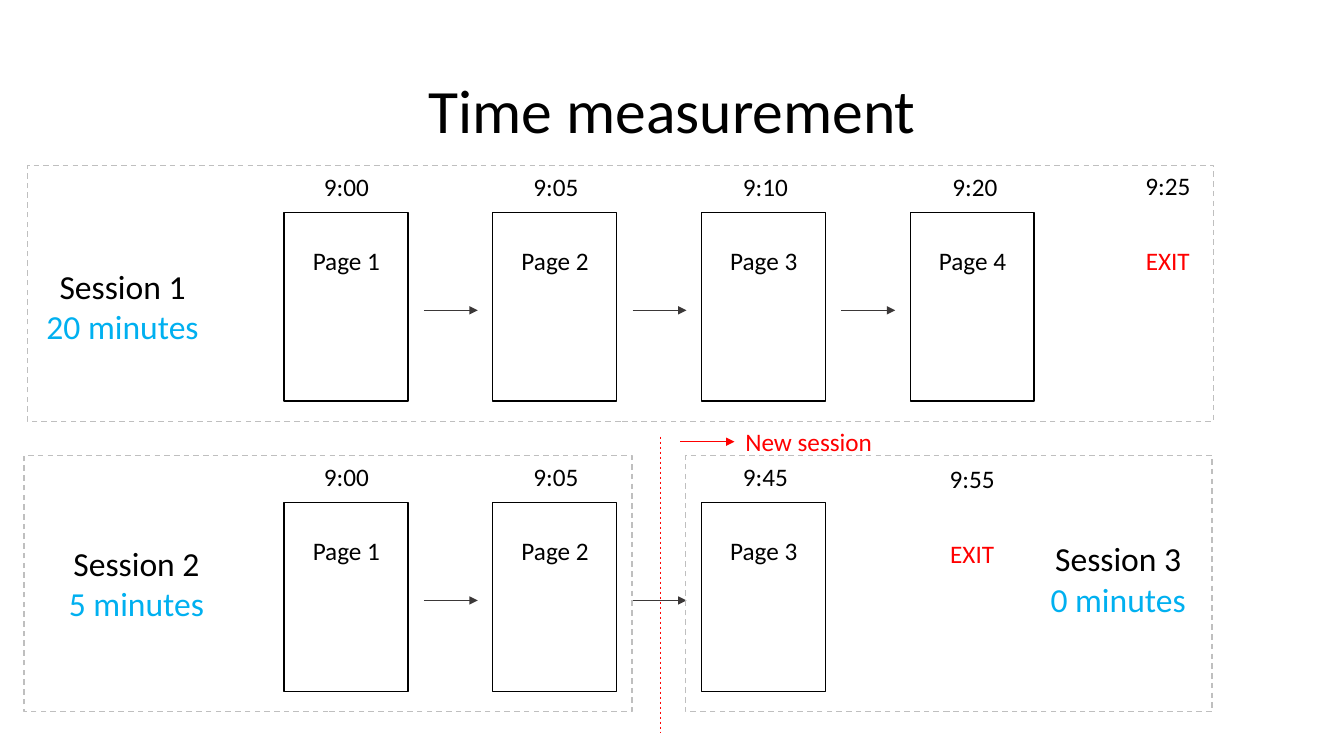
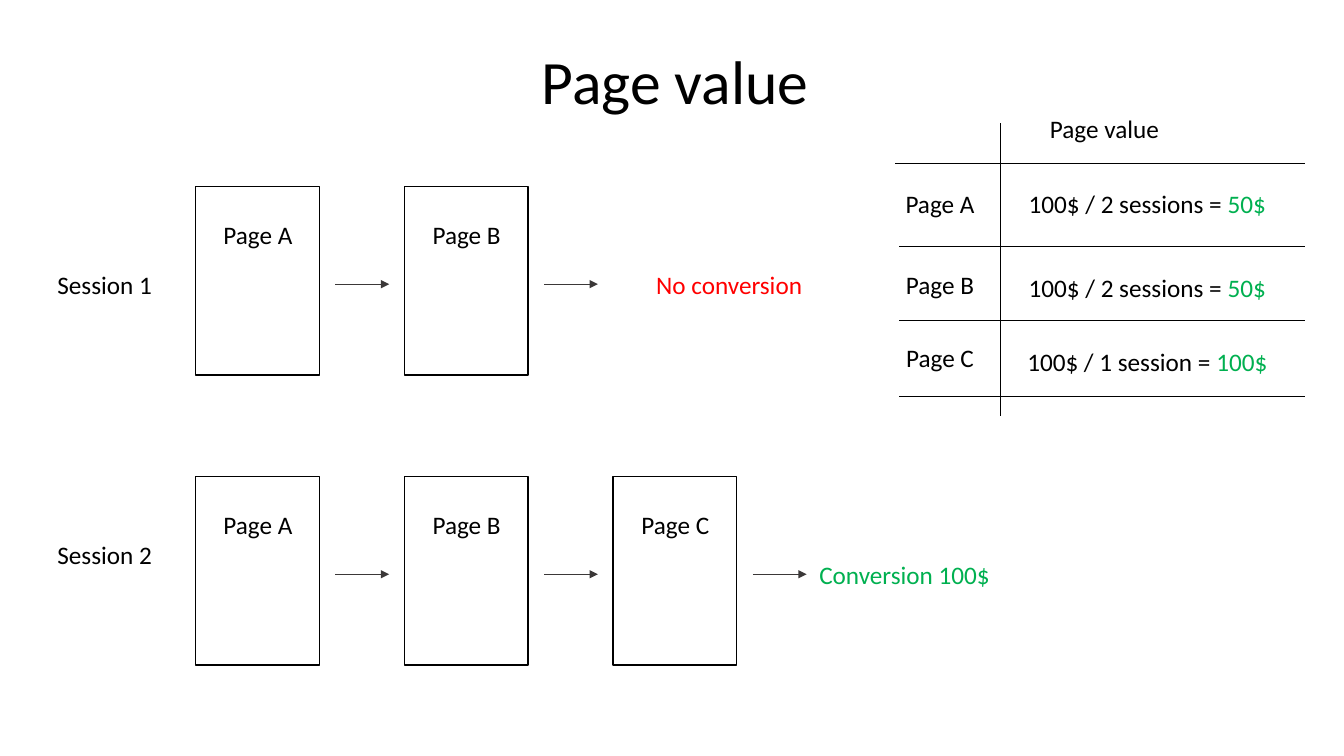
"""Build two slides on session time and page value."""
import pptx
import pptx.dml.color
import pptx.enum.dml
import pptx.enum.shapes
import pptx.enum.text
import pptx.oxml.ns
import pptx.util
from lxml import etree

Cm = pptx.util.Cm
Pt = pptx.util.Pt
qn = pptx.oxml.ns.qn
DASH = pptx.enum.dml.MSO_LINE.DASH
CENTER = pptx.enum.text.PP_ALIGN.CENTER

BLACK, DARK, GRAY = "000000", "3B3838", "BFBFBF"
RED, BLUE, GREEN = "FF0000", "00B0F0", "00B050"
PAGE_W, PAGE_H, STEP = 3.12, 4.75, 5.26
TEXT_W, TEXT_H = 2.26, 1.02
ARROW = 1.36


def tint(color, value):
    """Set a colour from a hex string."""
    color.rgb = pptx.dml.color.RGBColor.from_string(value)


class Deck:
    """Hold the style and the current slide."""

    def __init__(self):
        """Start an empty wide deck."""
        self.file = pptx.Presentation()
        self.file.slide_width = Cm(33.87)
        self.file.slide_height = Cm(19.05)
        self.slide = None

    def font(self, para, size, color=None):
        """Style one paragraph."""
        para.alignment = CENTER
        para.font.name = "Calibri"
        para.font.size = Pt(size)
        if color:
            tint(para.font.color, color)

    def start(self, title, x, y):
        """Add a slide with its title."""
        self.slide = self.file.slides.add_slide(self.file.slide_layouts[5])
        head = self.slide.shapes.title
        head.left, head.top, head.width, head.height = Cm(x), Cm(y), Cm(29.21), Cm(3.68)
        head.text_frame.text = title
        head.text_frame.vertical_anchor = pptx.enum.text.MSO_ANCHOR.MIDDLE
        para = head.text_frame.paragraphs[0]
        para.line_spacing = 0.9
        self.font(para, 44, BLACK)

    def text(self, x, y, *lines, w=TEXT_W, h=TEXT_H, size=18):
        """Add centred text; each line is a list of (words, colour) runs."""
        box = self.slide.shapes.add_textbox(Cm(x), Cm(y), Cm(w), Cm(h))
        frame = box.text_frame
        frame.word_wrap = True
        frame.auto_size = pptx.enum.text.MSO_AUTO_SIZE.SHAPE_TO_FIT_TEXT
        frame.margin_left = frame.margin_right = Cm(0.1)
        for i, runs in enumerate(lines):
            para = frame.add_paragraph() if i else frame.paragraphs[0]
            for words, color in runs:
                run = para.add_run()
                run.text = words
                if len(runs) > 1:
                    tint(run.font.color, color)
            self.font(para, size, runs[0][1] if len(runs) == 1 else None)

    def word(self, x, y, words, color=BLACK, w=TEXT_W):
        """Add one line in one colour."""
        self.text(x, y, [(words, color)], w=w)

    def rect(self, x, y, w, h, color=BLACK, dash=None):
        """Add an outlined box."""
        kind = pptx.enum.shapes.MSO_SHAPE.RECTANGLE
        box = self.slide.shapes.add_shape(kind, Cm(x), Cm(y), Cm(w), Cm(h))
        box.shadow.inherit = False
        box.fill.background()
        tint(box.line.color, color)
        box.line.width = Pt(1)
        if dash:
            box.line.dash_style = dash

    def line(self, x, y, end_x, end_y, color=BLACK, dash=None, tip=False):
        """Add a thin line, dashed or with an arrowhead if asked."""
        kind = pptx.enum.shapes.MSO_CONNECTOR.STRAIGHT
        rule = self.slide.shapes.add_connector(kind, Cm(x), Cm(y), Cm(end_x), Cm(end_y))
        tint(rule.line.color, color)
        rule.line.width = Pt(0.5)
        if dash:
            rule.line.dash_style = dash
        props = rule.element.spPr
        if tip:
            etree.SubElement(props.find(qn("a:ln")), qn("a:tailEnd"), type="triangle")
        etree.SubElement(props, qn("a:effectLst"))

    def arrow(self, x, y, color=DARK):
        """Add a short arrow to the right."""
        self.line(x, y, x + ARROW, y, color, tip=True)

    def pages(self, x, y, names, arrows, times=()):
        """Add a row of pages with arrows and the times above."""
        for i, name in enumerate(names):
            left = x + i * STEP
            self.rect(left, y, PAGE_W, PAGE_H)
            self.word(left + 0.44, y + 0.69, "Page " + name)
            if i < arrows:
                self.arrow(left + 3.52, y + 2.46)
        for i, time in enumerate(times):
            self.word(x + 0.44 + i * 5.28, y - 1.18, time)

    def visit(self, x, y, name, span):
        """Add a session name and its length."""
        self.text(x, y, [(name, BLACK)], [(span, BLUE)], w=4.8, h=2.31, size=24)

    def leave(self, x, y, time):
        """Add the time of an exit."""
        self.word(x, y, time)
        self.word(x, y + 1.89, "EXIT", RED)


def clock(deck):
    """Build the time slide."""
    deck.start("Time measurement", 2.34, 1.02)
    deck.pages(7.16, 5.36, "1234", 3, ("9:00", "9:05", "9:10", "9:20"))
    deck.pages(7.16, 12.67, "123", 2, ("9:00", "9:05", "9:45"))
    deck.line(16.64, 11, 16.64, 18.44, RED, DASH)
    deck.word(18.49, 10.62, "New session", RED, 3.78)
    deck.arrow(17.15, 11.13, RED)
    deck.leave(28.3, 4.17, "9:25")
    deck.leave(23.37, 11.56, "9:55")
    deck.visit(0.69, 6.58, "Session 1", "20 minutes")
    deck.visit(1.04, 13.56, "Session 2", "5 minutes")
    deck.visit(25.78, 13.44, "Session 3", "0 minutes")
    for x, y, w in ((0.69, 4.17, 29.9), (0.61, 11.48, 15.32), (17.27, 11.48, 13.28)):
        deck.rect(x, y, w, 6.45, GRAY, DASH)


def worth(deck):
    """Build the value slide."""
    deck.start("Page value", 2.41, 0.3)
    deck.pages(4.93, 4.7, "AB", 2)
    deck.pages(4.93, 12.01, "ABC", 3)
    deck.word(15.9, 6.65, "No conversion", RED, 4.95)
    deck.word(20.32, 13.97, "Conversion 100$", GREEN, 4.95)
    deck.word(1.14, 6.65, "Session 1", w=3)
    deck.word(1.14, 13.46, "Session 2", w=3)
    deck.word(25.88, 2.74, "Page value", w=3.91)
    deck.line(25.22, 3.1, 25.22, 10.49)
    deck.line(22.56, 4.11, 32.89, 4.11)
    rows = (
        ("Page A", 4.62, 4.62, "100$ / 2 sessions = ", "50$", 6.2),
        ("Page B", 6.65, 6.73, "100$ / 2 sessions = ", "50$", 8.08),
        ("Page C", 8.51, 8.61, "100$ / 1 session = ", "100$", 9.98),
    )
    for name, y, sum_y, words, value, end in rows:
        deck.word(22.56, y, name)
        deck.text(24.94, sum_y, [(words, BLACK), (value, GREEN)], w=7.95)
        deck.line(22.66, end, 32.89, end)


def main():
    """Build and save the deck."""
    deck = Deck()
    clock(deck)
    worth(deck)
    deck.file.save("out.pptx")


if __name__ == "__main__":
    main()
